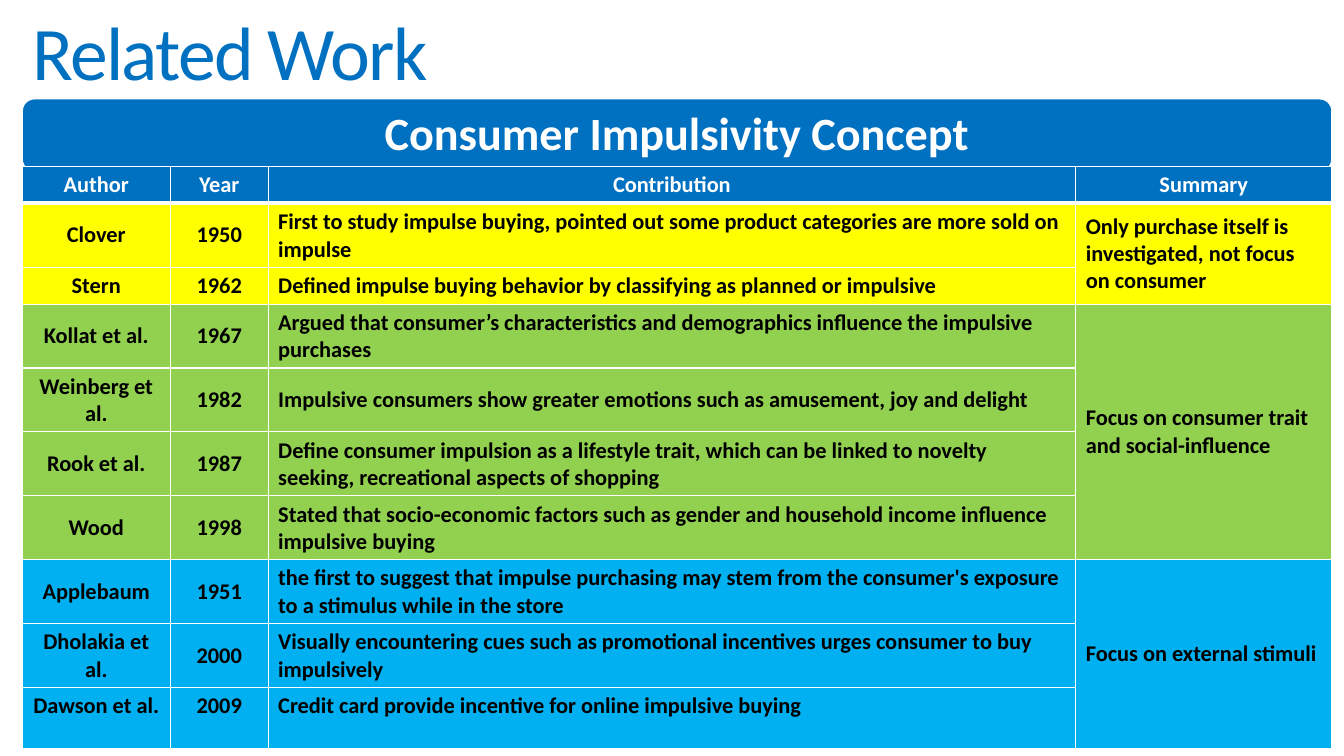
from lxml.etree import SubElement
from pptx import Presentation
from pptx.dml.color import RGBColor
from pptx.enum.shapes import MSO_SHAPE as Shape
from pptx.enum.text import MSO_ANCHOR as Anchor, PP_ALIGN as Align
from pptx.oxml.ns import qn
from pptx.util import Inches, Pt

FONT = "Calibri"
COLORS = {"blue": "0070C0", "white": "FFFFFF", "black": "000000",
          "yellow": "FFFF00", "green": "92D050", "sky": "00B0F0"}
HEADERS = ["Author", "Year", "Contribution", "Summary"]
COLUMNS = [1.47, 0.97, 8.01, 2.54]
SHORT_ROW, TALL_ROW = 0.36, 0.61
SHORT_ROWS = (0, 2)
GROUPS = [
    ("yellow", "Only purchase itself is investigated, not focus on consumer", [
        ("Clover", "1950", "First to study impulse buying, pointed out some product "
         "categories are more sold on impulse"),
        ("Stern", "1962", "Defined impulse buying behavior by classifying as planned "
         "or impulsive"),
    ]),
    ("green", "Focus on consumer trait and social-influence", [
        ("Kollat et al.", "1967", "Argued that consumer’s characteristics and "
         "demographics influence the impulsive purchases"),
        ("Weinberg et al.", "1982", "Impulsive consumers show greater emotions such "
         "as amusement, joy and delight"),
        ("Rook et al.", "1987", "Define consumer impulsion as a lifestyle trait, which "
         "can be linked to novelty seeking, recreational aspects of shopping"),
        ("Wood", "1998", "Stated that socio-economic factors such as gender and "
         "household income influence impulsive buying"),
    ]),
    ("sky", "Focus on external stimuli", [
        ("Applebaum", "1951", "the first to suggest that impulse purchasing may stem "
         "from the consumer's exposure to a stimulus while in the store"),
        ("Dholakia et al.", "2000", "Visually encountering cues such as promotional "
         "incentives urges consumer to buy impulsively"),
        ("Dawson et al.", "2009", "Credit card provide incentive for online impulsive "
         "buying"),
    ]),
]


def rgb(name):
    """Return a palette colour."""
    return RGBColor.from_string(COLORS[name])


def write(tf, text, size, color, bold=False, align=Align.LEFT, spacing=None):
    """Write one run into the first paragraph and return the run."""
    p = tf.paragraphs[0]
    p.alignment = align
    if spacing:
        p.line_spacing = spacing
    r = p.add_run()
    r.text = text
    r.font.name, r.font.size, r.font.bold = FONT, Pt(size), bold
    r.font.color.rgb = rgb(color)
    return r


def add_title(s, box):
    """Place the slide title in the box."""
    tf = s.shapes.add_textbox(*map(Inches, box)).text_frame
    tf.word_wrap = True
    tf.vertical_anchor = Anchor.MIDDLE
    r = write(tf, "Related Work", 54, "blue", spacing=0.85)
    r.font._element.set("spc", "-120")


def add_banner(s, box):
    """Place the rounded heading of the table in the box."""
    sp = s.shapes.add_shape(Shape.ROUNDED_RECTANGLE, *map(Inches, box))
    sp.shadow.inherit = False
    sp.fill.solid()
    sp.fill.fore_color.rgb = rgb("blue")
    sp.line.color.rgb = rgb("white")
    sp.line.width = Pt(1)
    tf = sp.text_frame
    tf.word_wrap = True
    tf.vertical_anchor = Anchor.MIDDLE
    write(tf, "Consumer Impulsivity Concept", 33, "white", True, Align.CENTER, 0.9)


def style_cell(cell, fill, top=1, bottom=1):
    """Give a cell white borders and a solid fill."""
    tcPr = cell._tc.get_or_add_tcPr()
    for side, width in (("L", 1), ("R", 1), ("T", top), ("B", bottom)):
        ln = SubElement(tcPr, qn(f"a:ln{side}"), w=str(Pt(width)))
        solid = SubElement(ln, qn("a:solidFill"))
        SubElement(solid, qn("a:srgbClr"), val=COLORS["white"])
    cell.fill.solid()
    cell.fill.fore_color.rgb = rgb(fill)


def fill_cell(cell, text, color, align, anchor=Anchor.MIDDLE):
    """Write bold table text into a cell."""
    cell.vertical_anchor = anchor
    write(cell.text_frame, text, 16, color, True, align)


def add_studies(s, box):
    """Place the table of studies in the box, one merged summary per group."""
    count = 1 + sum(len(studies) for _, _, studies in GROUPS)
    table = s.shapes.add_table(count, len(COLUMNS), *map(Inches, box)).table
    table.horz_banding = False
    for col, width in zip(table.columns, COLUMNS):
        col.width = Inches(width)
    for i, row in enumerate(table.rows):
        row.height = Inches(SHORT_ROW if i in SHORT_ROWS else TALL_ROW)
    for c, header in enumerate(HEADERS):
        style_cell(table.cell(0, c), "blue", bottom=3)
        fill_cell(table.cell(0, c), header, "white", Align.CENTER)
    first = 1
    for color, summary, studies in GROUPS:
        for i, study in enumerate(studies, first):
            anchor = Anchor.TOP if i == count - 1 else Anchor.MIDDLE
            for c in range(len(COLUMNS)):
                style_cell(table.cell(i, c), color, top=3 if i == 1 else 1)
            for c, text in enumerate(study):
                align = Align.CENTER if c < 2 else Align.LEFT
                fill_cell(table.cell(i, c), text, "black", align, anchor)
        last = first + len(studies) - 1
        table.cell(first, 3).merge(table.cell(last, 3))
        fill_cell(table.cell(first, 3), summary, "black", Align.LEFT)
        first = last + 1


def main():
    """Build and save the slide."""
    prs = Presentation()
    prs.slide_width, prs.slide_height = Inches(13.33), Inches(7.5)
    s = prs.slides.add_slide(prs.slide_layouts[6])
    left, width = 0.22, sum(COLUMNS)
    add_title(s, (left, 0, width * 2 / 3, 1.13))
    add_banner(s, (left, 0.98, width, 0.72))
    add_studies(s, (left, 1.65, width, 5.6))
    prs.save("out.pptx")


if __name__ == "__main__":
    main()
